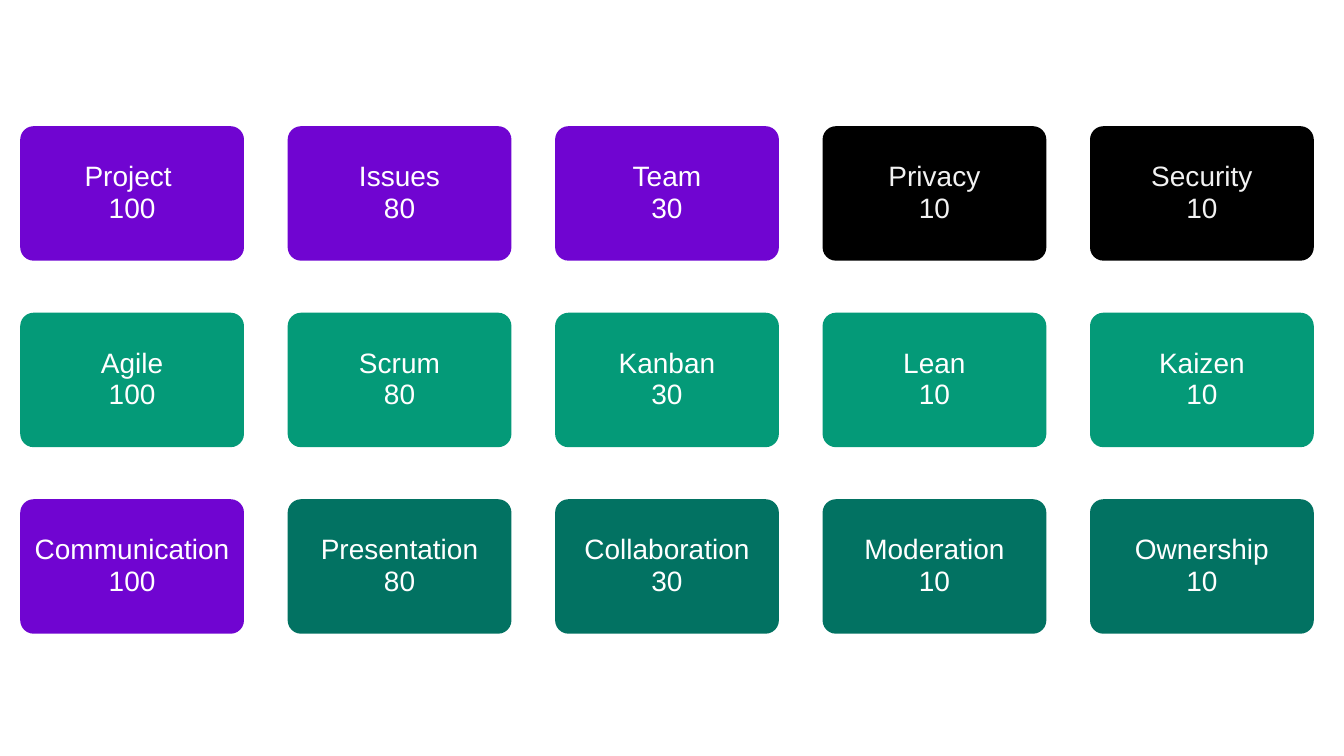
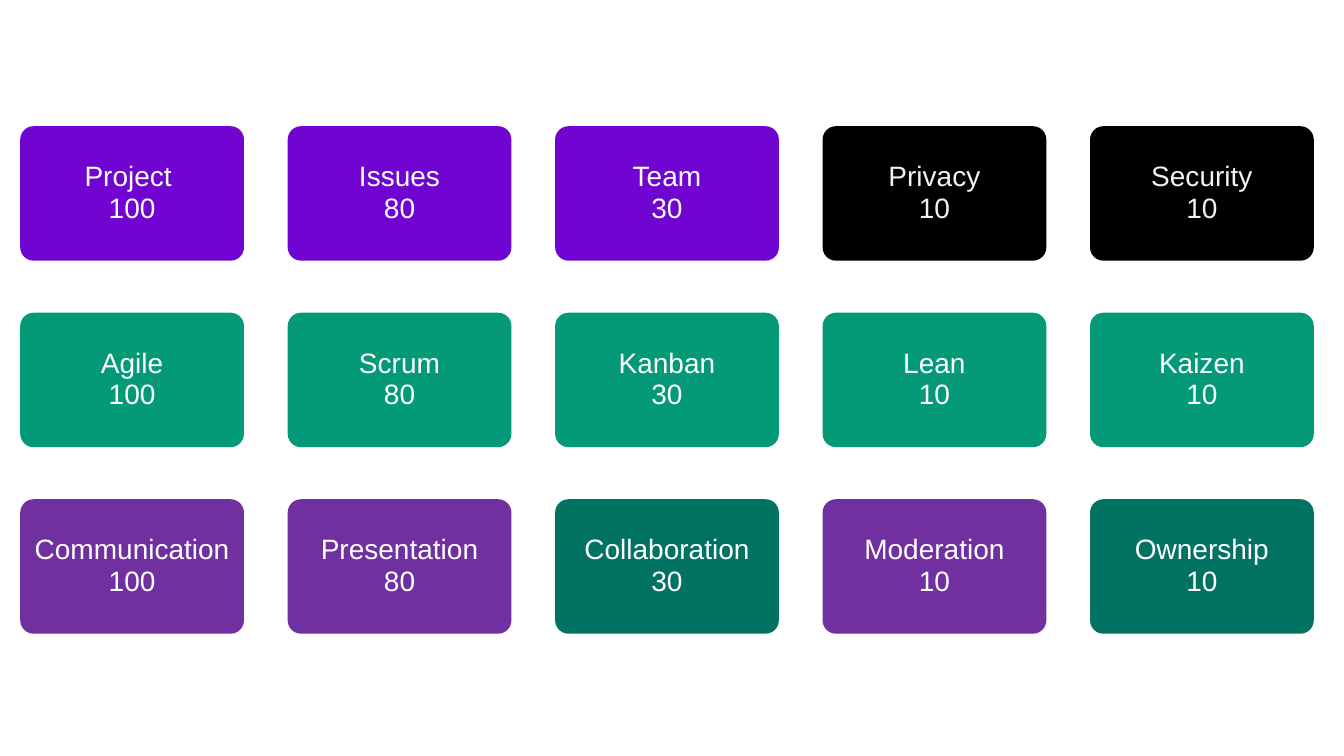
from pptx import Presentation
from pptx.dml.color import RGBColor
from pptx.enum.shapes import MSO_SHAPE
from pptx.enum.text import MSO_ANCHOR, PP_ALIGN
from pptx.util import Cm, Pt

ROUNDED = MSO_SHAPE.ROUNDED_RECTANGLE
MIDDLE = MSO_ANCHOR.MIDDLE
CENTER = PP_ALIGN.CENTER

# Shared style
FONT = "Arial"
FONT_SIZE = 20
VIOLET, PURPLE, BLACK = "7005D1", "7030A0", "000000"
GREEN, TEAL = "049A78", "027262"
WHITE, PALE = "FFFFFF", "F2F2F2"

# Card grid, in centimetres
LEFT, TOP = 0.51, 3.18
CARD_W, CARD_H = 5.64, 3.39
COL_STEP, ROW_STEP = 6.74, 4.7

# Wording of the cards; every row has the same points
POINTS = (100, 80, 30, 10, 10)
TOPICS = (
    ("Project ", "Issues", "Team", "Privacy", "Security"),
    ("Agile", "Scrum", "Kanban", "Lean", "Kaizen"),
    ("Communication", "Presentation", "Collaboration", "Moderation", "Ownership"),
)

# Card colours: two rows are shared, the last one differs by slide
SHARED_ROWS = ((VIOLET,) * 3 + (BLACK,) * 2, (GREEN,) * 5)
LAST_ROWS = (
    (VIOLET, TEAL, TEAL, TEAL, TEAL),
    (PURPLE, PURPLE, TEAL, PURPLE, TEAL),
)


def rgb(color):
    return RGBColor.from_string(color)


def add_line(p, text, color):
    p.alignment = CENTER
    p.line_spacing = 0.9
    r = p.add_run()
    r.text = text
    r.font.name = FONT
    r.font.size = Pt(FONT_SIZE)
    r.font.color.rgb = rgb(color)


def add_card(s, row, col, fill):
    sp = s.shapes.add_shape(
        ROUNDED, Cm(LEFT + col * COL_STEP), Cm(TOP + row * ROW_STEP),
        Cm(CARD_W), Cm(CARD_H))
    sp.adjustments[0] = 0.1
    sp.shadow.inherit = False
    sp.fill.solid()
    sp.fill.fore_color.rgb = rgb(fill)
    sp.line.fill.background()

    tf = sp.text_frame
    tf.word_wrap = True
    tf.vertical_anchor = MIDDLE
    tf.margin_left = tf.margin_right = Cm(0.2)
    tf.margin_top = tf.margin_bottom = Cm(0.25)
    color = PALE if fill == BLACK else WHITE
    add_line(tf.paragraphs[0], TOPICS[row][col], color)
    p = tf.add_paragraph()
    p.space_before = Pt(1.2)
    add_line(p, str(POINTS[col]), color)


def add_board(prs, fills):
    s = prs.slides.add_slide(prs.slide_layouts[6])
    for row, row_fills in enumerate(fills):
        for col, fill in enumerate(row_fills):
            add_card(s, row, col, fill)


def main():
    prs = Presentation()
    prs.slide_width, prs.slide_height = Cm(33.87), Cm(19.05)
    for last_row in LAST_ROWS:
        add_board(prs, SHARED_ROWS + (last_row,))
    prs.save("out.pptx")


if __name__ == "__main__":
    main()
